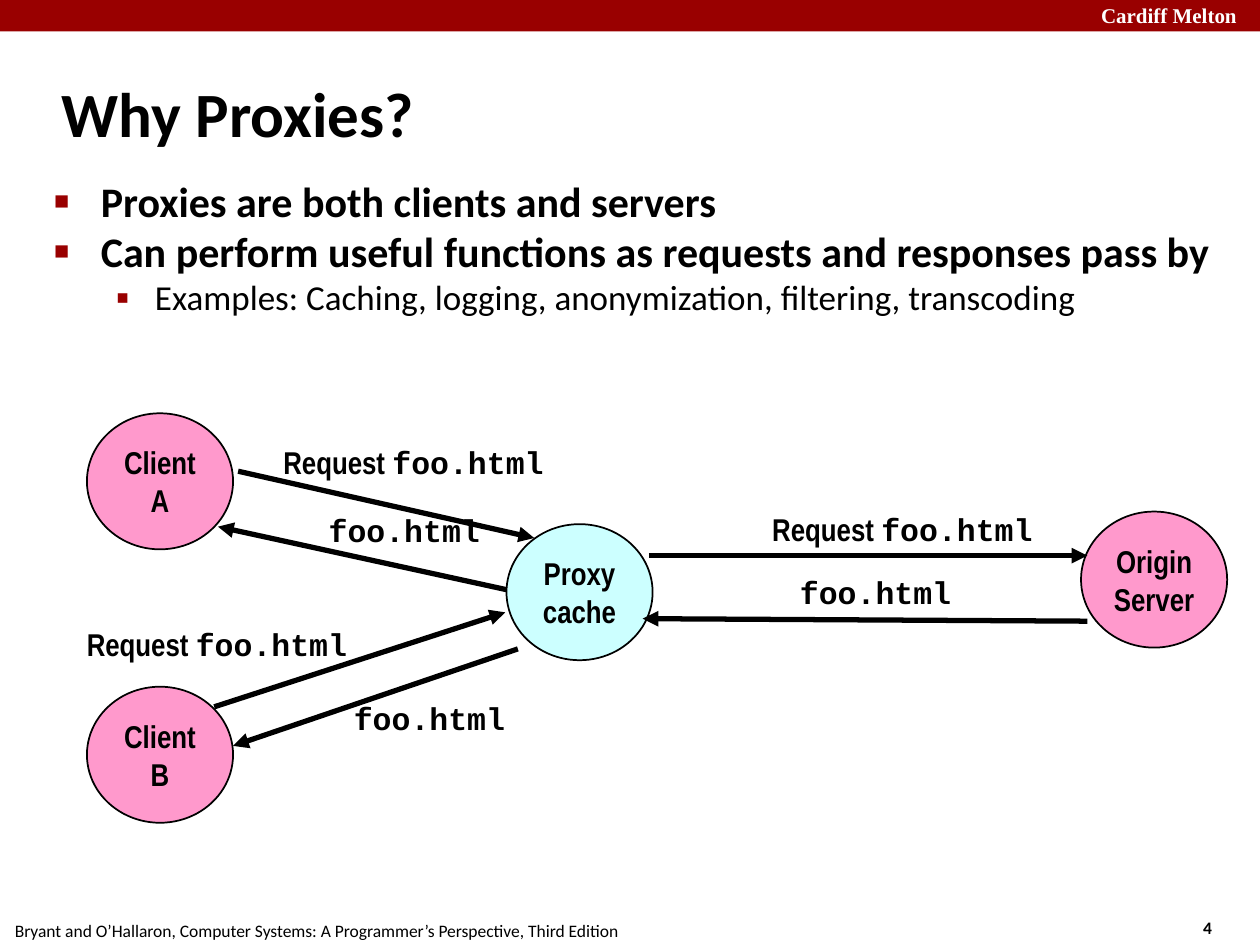
from typing import NamedTuple

from lxml import etree
from pptx import Presentation
from pptx import util as u
from pptx.dml.color import RGBColor
from pptx.enum import shapes, text
from pptx.oxml import ns

HUES = {"red": "990000", "pink": "FF99CC", "cyan": "CCFFFF",
        "black": "000000", "white": "FFFFFF"}
SANS, SLIM, MONO = "Calibri", "Arial Narrow", "Courier New"
FILE = "foo.html"


class Node(NamedTuple):
    words: str
    left: float
    top: float
    hue: str = "pink"


class Arrow(NamedTuple):
    start: tuple[float, float]
    end: tuple[float, float]


class Label(NamedTuple):
    left: float
    top: float
    ask: bool


NODES = [
    Node("Client\nA", 0.69, 3.28),
    Node("Proxy\ncache", 4.02, 4.16, "cyan"),
    Node("Origin\nServer", 8.58, 4.06),
    Node("Client\nB", 0.69, 5.45),
]
ARROWS = [
    Arrow((1.89, 3.74), (4.24, 4.27)),
    Arrow((4.02, 4.68), (1.73, 4.18)),
    Arrow((5.15, 4.41), (8.63, 4.41)),
    Arrow((8.63, 4.93), (5.1, 4.91)),
    Arrow((1.7, 5.61), (4.01, 4.86)),
    Arrow((4.11, 5.15), (1.85, 5.92)),
]
LABELS = [
    Label(2.15, 3.47, True), Label(2.51, 4.01, False),
    Label(6.03, 4.0, True), Label(6.25, 4.5, False),
    Label(0.59, 4.91, True), Label(2.71, 5.5, False),
]


def color(name: str) -> RGBColor:
    return RGBColor.from_string(HUES[name])


def box(*sides: float) -> list[u.Length]:
    return [u.Inches(side) for side in sides]


def add(parent, tag: str, **attrs: str):
    return etree.SubElement(parent, ns.qn(tag), attrs)


def write(par, words: str, size: float = 18, font: str = SLIM,
          hue: str = "black", bold: bool = True) -> None:
    """Add one formatted run to a paragraph."""
    run = par.add_run()
    run.text = words
    run.font.size = u.Pt(size)
    run.font.name = font
    run.font.bold = bold
    run.font.color.rgb = color(hue)


def note(slide, left: float, top: float, wide: float, high: float):
    """Add an empty text box and return its first paragraph."""
    frame = slide.shapes.add_textbox(*box(left, top, wide, high)).text_frame
    frame.word_wrap = True
    return frame.paragraphs[0]


def bullet(par, mark: str, scale: int, left: float, hang: float) -> None:
    props = par._p.get_or_add_pPr()
    props.set("marL", str(u.Inches(left)))
    props.set("indent", str(-u.Inches(hang)))
    add(add(props, "a:buClr"), "a:srgbClr", val=HUES["red"])
    add(props, "a:buSzPct", val=str(scale * 1000))
    add(props, "a:buFont", typeface="Arial")
    add(props, "a:buChar", char=mark)


def draw_node(slide, node: Node) -> None:
    oval = slide.shapes.add_shape(shapes.MSO_SHAPE.OVAL,
                                  *box(node.left, node.top, 1.16, 1.08))
    oval.shadow.inherit = False
    oval.fill.solid()
    oval.fill.fore_color.rgb = color(node.hue)
    oval.line.color.rgb = color("black")
    oval.line.width = u.Pt(1)
    frame = oval.text_frame
    frame.word_wrap = False
    frame.vertical_anchor = text.MSO_ANCHOR.MIDDLE
    for row, words in enumerate(node.words.split("\n")):
        par = frame.add_paragraph() if row else frame.paragraphs[0]
        par.alignment = text.PP_ALIGN.CENTER
        write(par, words)


def draw_arrow(slide, arrow: Arrow) -> None:
    line = slide.shapes.add_connector(shapes.MSO_CONNECTOR.STRAIGHT,
                                      *box(*arrow.start, *arrow.end))
    line.line.color.rgb = color("black")
    line.line.width = u.Pt(3)
    add(line.line._get_or_add_ln(), "a:tailEnd", type="triangle")
    add(line._element.spPr, "a:effectLst")


def draw_label(slide, label: Label) -> None:
    par = note(slide, label.left, label.top, 2.35 if label.ask else 1.45, 0.4)
    if label.ask:
        write(par, "Request ")
    write(par, FILE, font=MONO)


def place(holder, *sides: float):
    """Move a placeholder and return its text frame."""
    holder.left, holder.top, holder.width, holder.height = box(*sides)
    frame = holder.text_frame
    frame.auto_size = text.MSO_AUTO_SIZE.NONE
    return frame


deck = Presentation()
deck.slide_width, deck.slide_height = box(10, 7.5)
slide = deck.slides.add_slide(deck.slide_layouts[1])

# Top band, page number and footer
band = slide.shapes.add_shape(shapes.MSO_SHAPE.RECTANGLE, *box(0, 0, 10, 0.25))
band.shadow.inherit = False
band.fill.solid()
band.fill.fore_color.rgb = color("red")
band.line.fill.background()
write(note(slide, 8.64, -0.03, 1.43, 0.3), "Cardiff Melton",
      size=12, font="Times New Roman", hue="white")
write(note(slide, 9.45, 7.23, 0.5, 0.27), "4", size=10, font=SANS)
write(note(slide, 0.02, 7.25, 5.1, 0.26),
      "Bryant and O’Hallaron, Computer Systems: "
      "A Programmer’s Perspective, Third Edition",
      size=10, font=SANS, bold=False)

# Title
head = place(slide.shapes.title, 0.39, 0.48, 8.3, 0.83)
head.vertical_anchor = text.MSO_ANCHOR.MIDDLE
head.paragraphs[0].alignment = text.PP_ALIGN.LEFT
write(head.paragraphs[0], "Why Proxies?", size=36, font=SANS)

# Bullet list
body = place(slide.placeholders[1], 0.32, 1.34, 9.43, 1.81)
POINTS = [
    (0, "Proxies are both clients and servers"),
    (0, "Can perform useful functions as requests and responses pass by"),
    (1, "Examples: Caching, logging, anonymization, filtering, transcoding"),
]
for row, (level, words) in enumerate(POINTS):
    par = body.add_paragraph() if row else body.paragraphs[0]
    par.level = level
    par.space_before = u.Pt(0)
    if level:
        bullet(par, "▪", 110, 0.81, 0.31)
    else:
        bullet(par, "■", 60, 0.38, 0.37)
    write(par, words, size=20 if level else 24, font=SANS, bold=not level)

# Proxy diagram
for node in NODES:
    draw_node(slide, node)
for arrow in ARROWS:
    draw_arrow(slide, arrow)
for label in LABELS:
    draw_label(slide, label)

deck.save("out.pptx")
